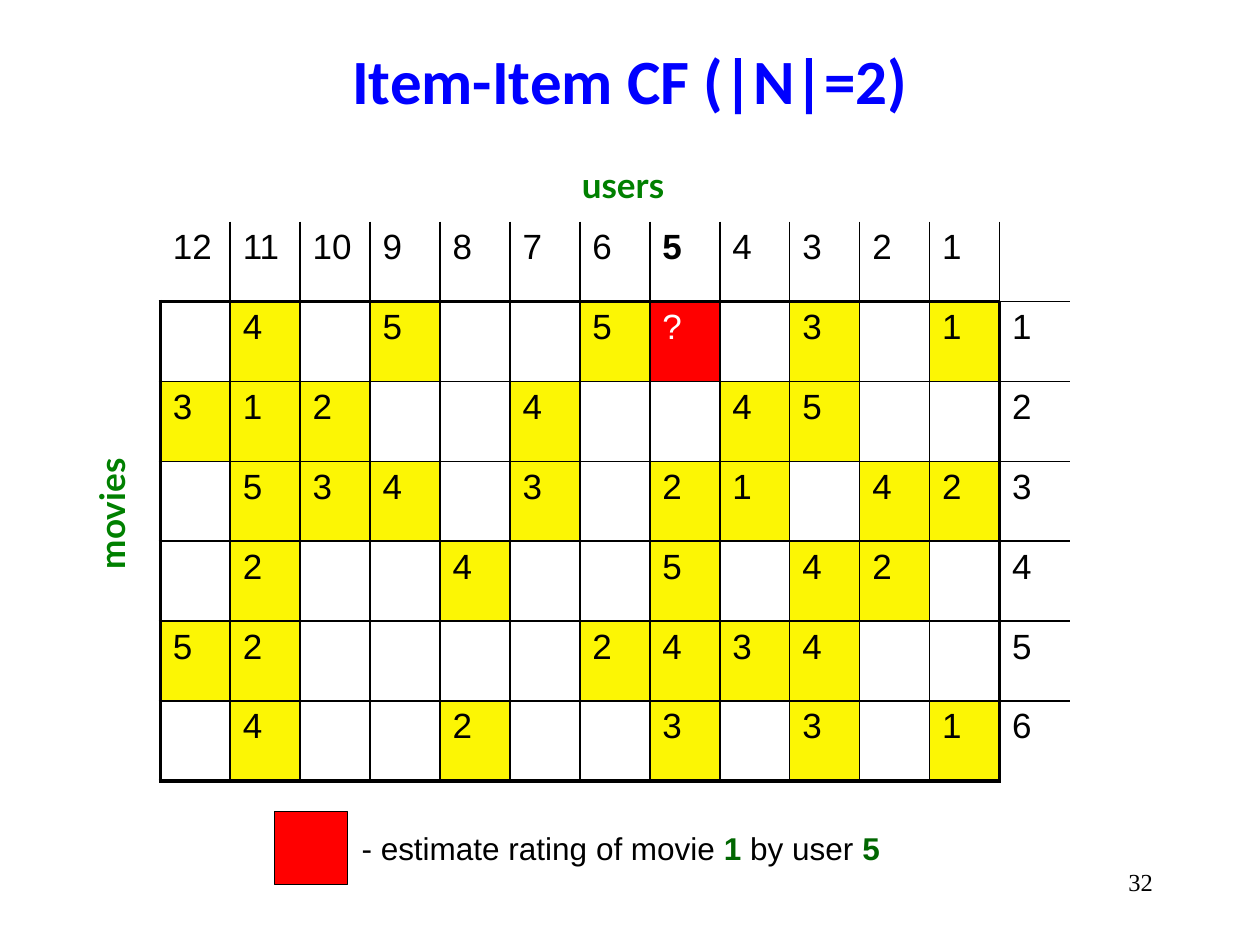
import pptx
import pptx.util
import pptx.dml.color
import pptx.enum.shapes
import pptx.enum.text
import pptx.oxml
import pptx.oxml.ns

Cm = pptx.util.Cm
Pt = pptx.util.Pt
ALIGN = pptx.enum.text.PP_ALIGN

COLORS = {
    "title": "0000FF",
    "axis": "008000",
    "accent": "006600",
    "text": "000000",
    "rated": "FCF604",
    "target": "FF0000",
    "target_text": "FFFFFF",
}
NO_TABLE_STYLE = "{2D5ABB26-0587-4C30-8999-92F81FD0307C}"
THIN, THICK = 1, 2.25
USERS = 12
TARGET_USER = "5"
RATINGS = [
    ["", "4", "", "5", "", "", "5", "?", "", "3", "", "1"],
    ["3", "1", "2", "", "", "4", "", "", "4", "5", "", ""],
    ["", "5", "3", "4", "", "3", "", "2", "1", "", "4", "2"],
    ["", "2", "", "", "4", "", "", "5", "", "4", "2", ""],
    ["5", "2", "", "", "", "", "2", "4", "3", "4", "", ""],
    ["", "4", "", "", "2", "", "", "3", "", "3", "", "1"],
]
MOVIES = len(RATINGS)


def rgb(name):
    return pptx.dml.color.RGBColor.from_string(COLORS[name])


def add_run(paragraph, text, size, font, color="text", bold=False):
    run = paragraph.add_run()
    run.text = text
    run.font.size = Pt(size)
    run.font.name = font
    run.font.bold = bold
    run.font.color.rgb = rgb(color)


def add_text(slide, box, runs, size, font, align=ALIGN.LEFT, rotation=0, wrap=True):
    shape = slide.shapes.add_textbox(*(Cm(length) for length in box))
    shape.rotation = rotation
    frame = shape.text_frame
    frame.word_wrap = wrap
    paragraph = frame.paragraphs[0]
    paragraph.alignment = align
    for text, color, bold in runs:
        add_run(paragraph, text, size, font, color, bold)
    return shape


def add_swatch(slide, box, color):
    shape = slide.shapes.add_shape(
        pptx.enum.shapes.MSO_SHAPE.RECTANGLE, *(Cm(length) for length in box))
    shape.shadow.inherit = False
    shape.fill.solid()
    shape.fill.fore_color.rgb = rgb(color)
    shape.line.color.rgb = rgb("text")
    shape.line.width = Pt(0.75)


def vertical_width(row, edge):
    if row == 0:
        return THIN if 0 < edge <= USERS else 0
    if edge > USERS:
        return 0
    return THICK if edge in (0, USERS) else THIN


def horizontal_width(edge, column):
    if edge == 0:
        return 0
    if column == USERS:
        return THIN if edge <= MOVIES else 0
    return THICK if edge in (1, MOVIES + 1) else THIN


def set_borders(cell, row, column):
    widths = {
        "lnL": vertical_width(row, column),
        "lnR": vertical_width(row, column + 1),
        "lnT": horizontal_width(row, column),
        "lnB": horizontal_width(row + 1, column),
    }
    namespace = pptx.oxml.ns.nsdecls("a")
    properties = cell._tc.get_or_add_tcPr()
    for side, width in widths.items():
        paint = (f'<a:solidFill><a:srgbClr val="{COLORS["text"]}"/></a:solidFill>'
                 if width else "<a:noFill/>")
        properties.append(pptx.oxml.parse_xml(
            f'<a:{side} {namespace} w="{int(Pt(width))}">{paint}</a:{side}>'))


def fill_cell(cell, text, row, column):
    set_borders(cell, row, column)
    is_target = text == "?"
    if row > 0 and column < USERS and text:
        cell.fill.solid()
        cell.fill.fore_color.rgb = rgb("target" if is_target else "rated")
    else:
        cell.fill.background()
    if text:
        add_run(cell.text_frame.paragraphs[0], text, 20, "Arial",
                "target_text" if is_target else "text",
                row == 0 and text == TARGET_USER)


def add_ratings_table(slide, left, top, column_width, row_height):
    header = [str(user) for user in range(USERS, 0, -1)] + [""]
    rows = [header] + [ratings + [str(movie)]
                       for movie, ratings in enumerate(RATINGS, 1)]
    frame = slide.shapes.add_table(
        len(rows), len(header), Cm(left), Cm(top),
        Cm(column_width * len(header)), Cm(row_height * len(rows)))
    table = frame.table
    table.first_row = False
    table.horz_banding = False
    table._tbl.tblPr.find(pptx.oxml.ns.qn("a:tableStyleId")).text = NO_TABLE_STYLE
    for column in table.columns:
        column.width = Cm(column_width)
    for row, texts in enumerate(rows):
        table.rows[row].height = Cm(row_height)
        for column, text in enumerate(texts):
            fill_cell(table.cell(row, column), text, row, column)


def main():
    presentation = pptx.Presentation()
    presentation.slide_width = Cm(25.4)
    presentation.slide_height = Cm(19.05)
    slide = presentation.slides.add_slide(presentation.slide_layouts[6])

    title = add_text(slide, (1.27, 0, 22.86, 3.18),
                     [("Item-Item CF (|N|=2)", "title", True)],
                     36, "Calibri", ALIGN.CENTER)
    title.text_frame.vertical_anchor = pptx.enum.text.MSO_ANCHOR.MIDDLE

    add_ratings_table(slide, 3.23, 4.47, 1.41, 1.61)
    add_text(slide, (11.48, 3.18, 3.02, 1.12), [("users", "axis", True)], 20, "Lato")
    add_text(slide, (0.46, 9.37, 3.58, 1.12), [("movies", "axis", True)],
             20, "Lato", rotation=270)

    add_swatch(slide, (5.54, 16.36, 1.47, 1.47), "target")
    legend = [("- estimate rating of movie ", "text", False), ("1", "accent", True),
              (" by user ", "text", False), (TARGET_USER, "accent", True)]
    add_text(slide, (7.04, 16.59, 11.23, 1.02), legend, 18, "Arial", wrap=False)
    add_text(slide, (18.21, 17.35, 5.28, 1.27), [("32", "text", False)],
             14, "Times New Roman", ALIGN.RIGHT)

    presentation.save("out.pptx")


main()
